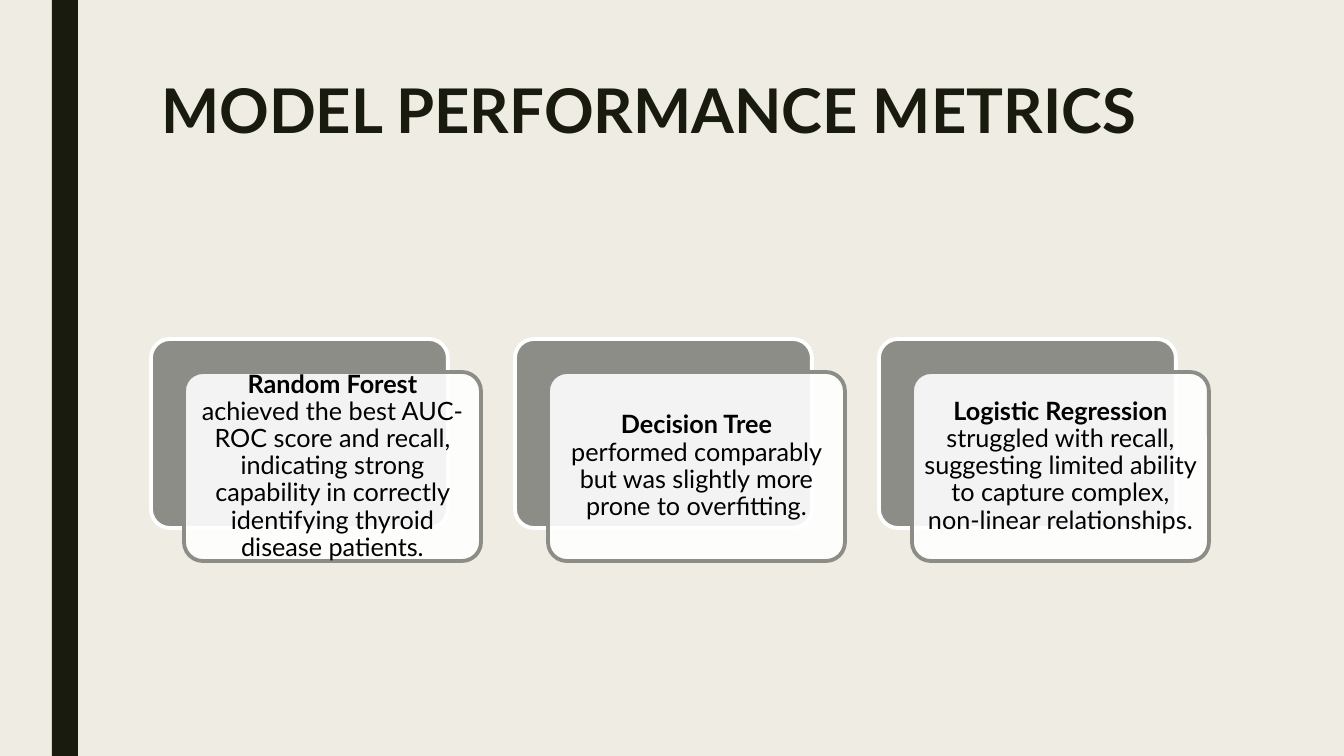
import pptx
import pptx.util
import pptx.dml.color
import pptx.enum.shapes
import pptx.enum.text
import pptx.oxml.ns
import lxml.etree
from dataclasses import dataclass

TITLE = "MODEL PERFORMANCE METRICS"
MODELS = [
    ("Random Forest", " achieved the best AUC-ROC score and recall, indicating strong "
                      "capability in correctly identifying thyroid disease patients."),
    ("Decision Tree", " performed comparably but was slightly more prone to overfitting."),
    ("Logistic Regression", " struggled with recall, suggesting limited ability to capture "
                            "complex, non-linear relationships."),
]


@dataclass(frozen=True)
class Theme:
    background: str = "EFEDE3"
    dark: str = "191B0E"
    grey: str = "8C8D86"
    white: str = "FFFFFF"
    black: str = "000000"
    font: str = "Lato"
    title_size: int = 44
    body_size: int = 18
    line_width: float = 2.75


THEME = Theme()
SLIDE_W, SLIDE_H = 1344, 756
BAR = (52, 0, 26, SLIDE_H)
TITLE_BOX = (151, 76, 1058, 163)
CARD_X, CARD_Y, CARD_W, CARD_H = 151, 339, 297, 189
CARD_STEP, CARD_SHIFT = 364, 33
CARD_INSET = 7


def px(n):
    return pptx.util.Emu(round(n * 914400 / 100.8))


def rgb(value):
    return pptx.dml.color.RGBColor.from_string(value)


def add_box(slide, kind, box, fill, line=None):
    sp = slide.shapes.add_shape(kind, *map(px, box))
    sp.shadow.inherit = False
    sp.fill.solid()
    sp.fill.fore_color.rgb = rgb(fill)
    if line:
        sp.line.color.rgb = rgb(line)
        sp.line.width = pptx.util.Pt(THEME.line_width)
    else:
        sp.line.fill.background()
    return sp


def add_card(slide, x, y, fill, line):
    kind = pptx.enum.shapes.MSO_SHAPE.ROUNDED_RECTANGLE
    sp = add_box(slide, kind, (x, y, CARD_W, CARD_H), fill, line)
    sp.adjustments[0] = 0.1
    return sp


def set_alpha(sp, percent):
    qn = pptx.oxml.ns.qn
    color = sp.fill._xPr.find(qn("a:solidFill")).find(qn("a:srgbClr"))
    lxml.etree.SubElement(color, qn("a:alpha"), val=str(percent * 1000))


def format_run(r, size, color, bold):
    r.font.name = THEME.font
    r.font.size = pptx.util.Pt(size)
    r.font.bold = bold
    r.font.color.rgb = rgb(color)


def set_insets(tf, n):
    tf.margin_left = tf.margin_right = tf.margin_top = tf.margin_bottom = px(n)


def add_title(slide):
    sp = slide.shapes.title
    sp.left, sp.top, sp.width, sp.height = map(px, TITLE_BOX)
    tf = sp.text_frame
    tf.text = TITLE
    tf.word_wrap = True
    tf.vertical_anchor = pptx.enum.text.MSO_ANCHOR.TOP
    p = tf.paragraphs[0]
    p.alignment = pptx.enum.text.PP_ALIGN.LEFT
    p.line_spacing = 0.89
    format_run(p.runs[0], THEME.title_size, THEME.dark, True)


def add_model(slide, index, name, finding):
    x = CARD_X + index * CARD_STEP
    add_card(slide, x, CARD_Y, THEME.grey, THEME.white)
    sp = add_card(slide, x + CARD_SHIFT, CARD_Y + CARD_SHIFT, THEME.white, THEME.grey)
    set_alpha(sp, 90)
    tf = sp.text_frame
    tf.word_wrap = True
    tf.vertical_anchor = pptx.enum.text.MSO_ANCHOR.MIDDLE
    set_insets(tf, CARD_INSET)
    p = tf.paragraphs[0]
    p.alignment = pptx.enum.text.PP_ALIGN.CENTER
    p.line_spacing = 0.9
    for text, bold in ((name, True), (finding, False)):
        r = p.add_run()
        r.text = text
        format_run(r, THEME.body_size, THEME.black, bold)


def main():
    prs = pptx.Presentation()
    prs.slide_width, prs.slide_height = px(SLIDE_W), px(SLIDE_H)
    slide = prs.slides.add_slide(prs.slide_layouts[5])
    slide.background.fill.solid()
    slide.background.fill.fore_color.rgb = rgb(THEME.background)
    add_box(slide, pptx.enum.shapes.MSO_SHAPE.RECTANGLE, BAR, THEME.dark)
    add_title(slide)
    for index, (name, finding) in enumerate(MODELS):
        add_model(slide, index, name, finding)
    prs.save("out.pptx")


if __name__ == "__main__":
    main()
